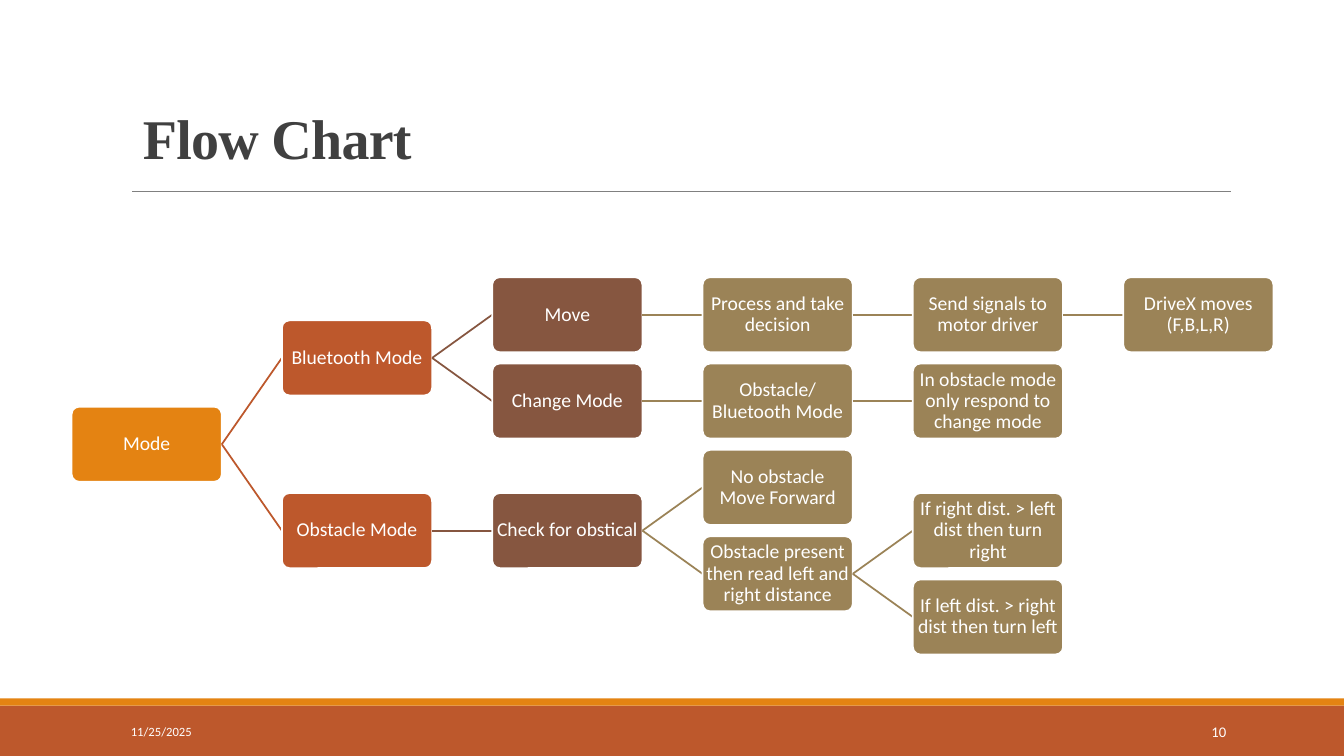
from lxml.etree import SubElement
from pptx import Presentation
from pptx.dml.color import RGBColor
from pptx.enum.shapes import MSO_CONNECTOR as Wire, MSO_SHAPE as Shape
from pptx.enum.text import MSO_ANCHOR as Anchor, PP_ALIGN as Align
from pptx.oxml.ns import qn
from pptx.util import Inches, Pt

WIDE, HIGH = 13.33, 7.5
ORANGE, RUST, BROWN, TAN = "E48312", "BD582C", "865640", "9B8357"
LEVELS = [ORANGE, RUST, BROWN, TAN, TAN, TAN]  # one colour per column

# Grid of the tree
BOX_W = 1.49
BOX_H = BOX_W / 2
COL, ROW = BOX_W * 1.4, BOX_H * 1.15
LEFT, TOP = 0.71, 2.75

# Each node: text, row, children
TREE = ("Mode", 1.5, [
    ("Bluetooth Mode", 0.5, [
        ("Move", 0, [
            ("Process and take decision", 0, [
                ("Send signals to motor driver", 0, [
                    ("DriveX moves (F,B,L,R)", 0, [])])])]),
        ("Change Mode", 1, [
            ("Obstacle/ Bluetooth Mode", 1, [
                ("In obstacle mode only respond to change mode", 1, [])])])]),
    ("Obstacle Mode", 2.5, [
        ("Check for obstical", 2.5, [
            ("No obstacle Move Forward", 2, []),
            ("Obstacle present then read left and right distance", 3, [
                ("If right dist. > left dist then turn right", 2.5, []),
                ("If left dist. > right dist then turn left", 3.5, [])])])]),
])


def paint(color, value):
    color.rgb = RGBColor.from_string(value)


def write(shape, text, size=14, font="Calibri", color="FFFFFF", bold=False,
          align=Align.LEFT, anchor=Anchor.MIDDLE, leading=None, inset=None,
          track=None):
    frame = shape.text_frame
    frame.word_wrap = True
    frame.vertical_anchor = anchor
    if inset is not None:
        frame.margin_left = frame.margin_right = Inches(inset)
        frame.margin_top = frame.margin_bottom = Inches(inset)
    para = frame.paragraphs[0]
    para.alignment = align
    if leading:
        para.line_spacing = leading
    run = para.add_run()
    run.text = text
    run.font.name, run.font.size, run.font.bold = font, Pt(size), bold
    paint(run.font.color, color)
    if track is not None:
        run.font._element.set("spc", str(round(track * 100)))


def label(slide, at, text, **style):
    write(slide.shapes.add_textbox(*map(Inches, at)), text, **style)


def block(slide, kind, at, fill):
    shape = slide.shapes.add_shape(kind, *map(Inches, at))
    shape.shadow.inherit = False
    shape.fill.solid()
    paint(shape.fill.fore_color, fill)
    shape.line.fill.background()
    return shape


def link(slide, color, width, ends=(0, 0, 0, 0)):
    wire = slide.shapes.add_connector(Wire.STRAIGHT, *map(Inches, ends))
    SubElement(wire._element.spPr, qn("a:effectLst"))
    wire.line.width = Pt(width)
    paint(wire.line.color, color)
    return wire


def branch(slide, node, level=0):
    """Draw a node with everything that follows from it; return its box."""
    text, row, children = node
    at = LEFT + level * COL, TOP + row * ROW, BOX_W, BOX_H
    box = block(slide, Shape.ROUNDED_RECTANGLE, at, LEVELS[level])
    box.adjustments[0] = 0.1
    box.line.width = Pt(1.25)
    paint(box.line.color, "FFFFFF")
    # The rounded corners already hold the text in by about 0.02
    write(box, text, align=Align.CENTER, leading=0.9, inset=0.01)
    for child in children:
        wire = link(slide, LEVELS[level + 1], 1.25)
        wire.begin_connect(box, 3)
        wire.end_connect(branch(slide, child, level + 1), 1)
    return box


def main():
    deck = Presentation()
    deck.slide_width, deck.slide_height = Inches(WIDE), Inches(HIGH)
    slide = deck.slides.add_slide(deck.slide_layouts[6])

    block(slide, Shape.RECTANGLE, (0, 7, WIDE, 0.5), RUST)
    block(slide, Shape.RECTANGLE, (0, 6.93, WIDE, 0.07), ORANGE)
    link(slide, "808080", 0.5, (1.31, 1.9, 12.21, 1.9))
    label(slide, (1.32, 0.95, 5.34, 0.79), "Flow Chart", size=40,
          font="Times New Roman", color="404040", bold=True,
          align=Align.JUSTIFY, anchor=Anchor.BOTTOM, leading=0.85, track=-0.5)
    label(slide, (1.2, 7.06, 2.7, 0.4), "11/25/2025", size=9)
    label(slide, (10.83, 7.06, 1.43, 0.4), "10", size=10.5, align=Align.RIGHT)
    branch(slide, TREE)

    deck.save("out.pptx")


if __name__ == "__main__":
    main()
